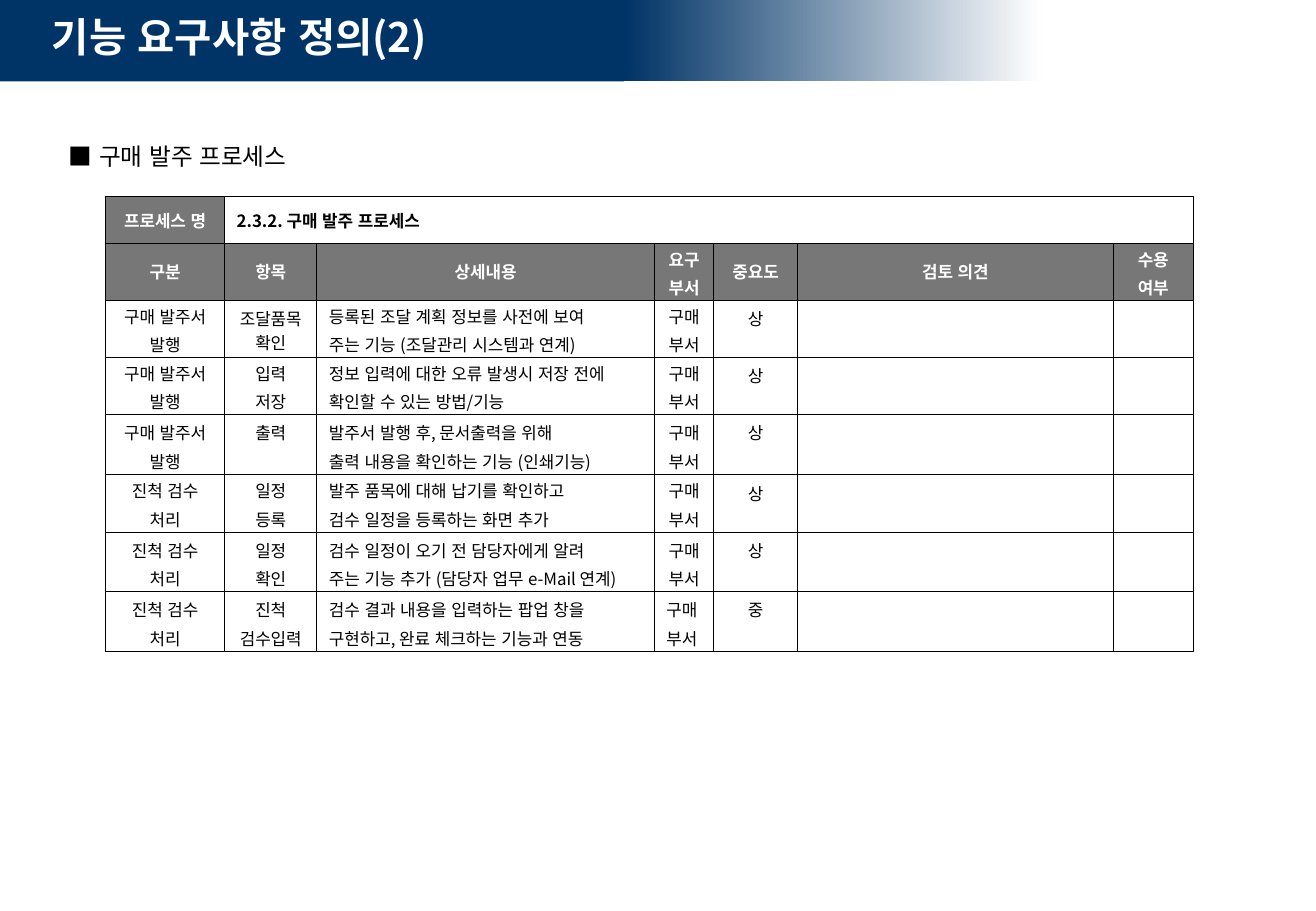
import pptx
import pptx.util
import pptx.dml.color
import pptx.enum.lang
import pptx.enum.shapes
import pptx.enum.text
import pptx.oxml
import pptx.oxml.ns

Inches, Pt = pptx.util.Inches, pptx.util.Pt
RGB = pptx.dml.color.RGBColor
ALIGN = pptx.enum.text.PP_ALIGN
ANCHOR = pptx.enum.text.MSO_ANCHOR
KOREAN = pptx.enum.lang.MSO_LANGUAGE_ID.KOREAN

# Content
TITLE = "기능 요구사항 정의(2)"
TOPIC = "■ 구매 발주 프로세스"
NAME = ["프로세스 명", "2.3.2. 구매 발주 프로세스"]
HEADS = ["구분", "항목", "상세내용", "요구\n부서", "중요도", "검토 의견", "수용\n여부"]
ORDER, CHECK, DEPT = "구매 발주서\n발행", "진척 검수\n처리", "구매\n부서"
ITEMS = [
    (ORDER, "조달품목확인", "등록된 조달 계획 정보를 사전에 보여\n주는 기능 (조달관리 시스템과 연계)", "상"),
    (ORDER, "입력\n저장", "정보 입력에 대한 오류 발생시 저장 전에\n확인할 수 있는 방법/기능", "상"),
    (ORDER, "출력", "발주서 발행 후, 문서출력을 위해\n출력 내용을 확인하는 기능 (인쇄기능)", "상"),
    (CHECK, "일정\n등록", "발주 품목에 대해 납기를 확인하고\n검수 일정을 등록하는 화면 추가", "상"),
    (CHECK, "일정\n확인", "검수 일정이 오기 전 담당자에게 알려\n주는 기능 추가 (담당자 업무 e-Mail 연계)", "상"),
    (CHECK, "진척\n검수입력", "검수 결과 내용을 입력하는 팝업 창을\n구현하고, 완료 체크하는 기능과 연동", "중"),
]
ROWS = [NAME + [""] * 5, HEADS]
ROWS += [[kind, item, text, DEPT, rank, "", ""] for kind, item, text, rank in ITEMS]

# Style and sizes
FONT = "Noto Sans CJK KR"
NAVY, GREY = RGB(0x00, 0x33, 0x66), RGB(0x77, 0x77, 0x77)
WHITE, BLACK = RGB(0xFF, 0xFF, 0xFF), RGB(0x00, 0x00, 0x00)
WIDTHS = [0.98, 0.76, 2.78, 0.49, 0.69, 2.6, 0.66]
HEIGHTS = [0.38, 0.47, 0.47, 0.47, 0.5, 0.47, 0.49, 0.49]
DETAIL, OFFICE, RANK = 2, 3, 4
PAIR = 0.44  # height of two lines of cell text

deck = pptx.Presentation()
deck.slide_width, deck.slide_height = Inches(10.84), Inches(7.5)
slide = deck.slides.add_slide(deck.slide_layouts[6])


def write(frame, text, size, color, bold=False, align=ALIGN.LEFT, gap=0):
    frame.text = text
    for i, para in enumerate(frame.paragraphs):
        para.alignment = align
        para.space_before = Pt(gap if i else 0)
        para.font.size = Pt(size)
        for run in para.runs:
            font = run.font
            font.name, font.size, font.bold = FONT, Pt(size), bold
            font.color.rgb = color
            font.language_id = KOREAN
            props = run._r.get_or_add_rPr()
            props.set("kern", "0")
            east = pptx.oxml.parse_xml(
                f'<a:ea {pptx.oxml.ns.nsdecls("a")} typeface="{FONT}"/>')
            props.find(pptx.oxml.ns.qn("a:latin")).addnext(east)


def band(left, width):
    shape = slide.shapes.add_shape(
        pptx.enum.shapes.MSO_SHAPE.RECTANGLE,
        Inches(left), 0, Inches(width), Inches(0.67))
    shape.shadow.inherit = False
    shape.line.fill.background()
    return shape.fill


def label(left, top, width, height):
    frame = slide.shapes.add_textbox(
        Inches(left), Inches(top), Inches(width), Inches(height)).text_frame
    frame.word_wrap = True
    return frame


def border(cell):
    props = cell._tc.get_or_add_tcPr()
    for i, side in enumerate(("lnL", "lnR", "lnT", "lnB")):
        props.insert(i, pptx.oxml.parse_xml(
            f'<a:{side} {pptx.oxml.ns.nsdecls("a")} w="{Pt(0.45)}"><a:solidFill>'
            f'<a:srgbClr val="{BLACK}"/></a:solidFill></a:{side}>'))


# Header band
fade = band(5.14, 3.44)
fade.gradient()
fade.gradient_angle = 0
for stop, color in zip(fade.gradient_stops, (NAVY, WHITE)):
    stop.color.rgb = color
solid = band(0, 5.14)
solid.solid()
solid.fore_color.rgb = NAVY

# Requirement table
grid = slide.shapes.add_table(
    len(ROWS), len(WIDTHS), Inches(0.87), Inches(1.62),
    Inches(sum(WIDTHS)), Inches(sum(HEIGHTS))).table
grid.first_row = grid.horz_banding = False
for col, width in zip(grid.columns, WIDTHS):
    col.width = Inches(width)
for row, height in zip(grid.rows, HEIGHTS):
    row.height = Inches(height)
grid.cell(0, 1).merge(grid.cell(0, len(WIDTHS) - 1))

for r, row in enumerate(ROWS):
    for c, text in enumerate(row):
        cell = grid.cell(r, c)
        name = r == 0 and c > 0
        head = r < 2 and not name
        left = name or (r > 1 and c == DETAIL) or (r == len(ROWS) - 1 and c == OFFICE)
        write(cell.text_frame, text, 10, WHITE if head else BLACK, r < 2,
              ALIGN.LEFT if left else ALIGN.CENTER, 2.5)
        cell.vertical_anchor = ANCHOR.MIDDLE if r < 2 else ANCHOR.TOP
        side = 0.04 if r > 1 and c == RANK else 0.1
        cell.margin_left = cell.margin_right = Inches(side)
        # Two-line cells keep within the row height
        pair = "\n" in text
        cell.margin_top = Inches(min(0.05, HEIGHTS[r] - PAIR) if pair else 0.05)
        cell.margin_bottom = Inches(0 if pair or r > 1 else 0.05)
        if r < 2:
            cell.fill.solid()
            cell.fill.fore_color.rgb = GREY if head else WHITE
        else:
            cell.fill.background()
        border(cell)

# Title and topic
write(label(0.33, 0.05, 5.64, 0.5), TITLE, 24, WHITE, True)
topic = label(0.47, 1.07, 9.44, 0.38)
write(topic, TOPIC, 14, BLACK, align=ALIGN.JUSTIFY)
topic.paragraphs[0].line_spacing = 1.2

deck.save("out.pptx")
